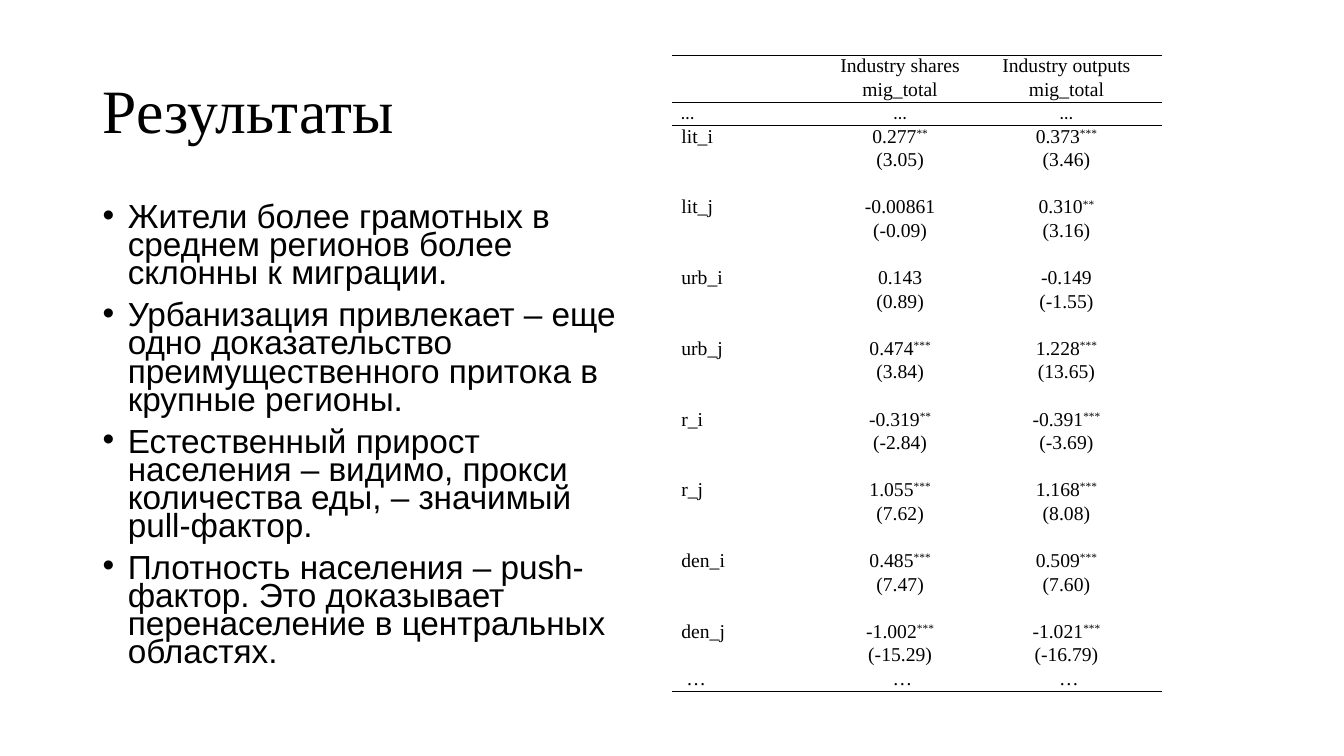
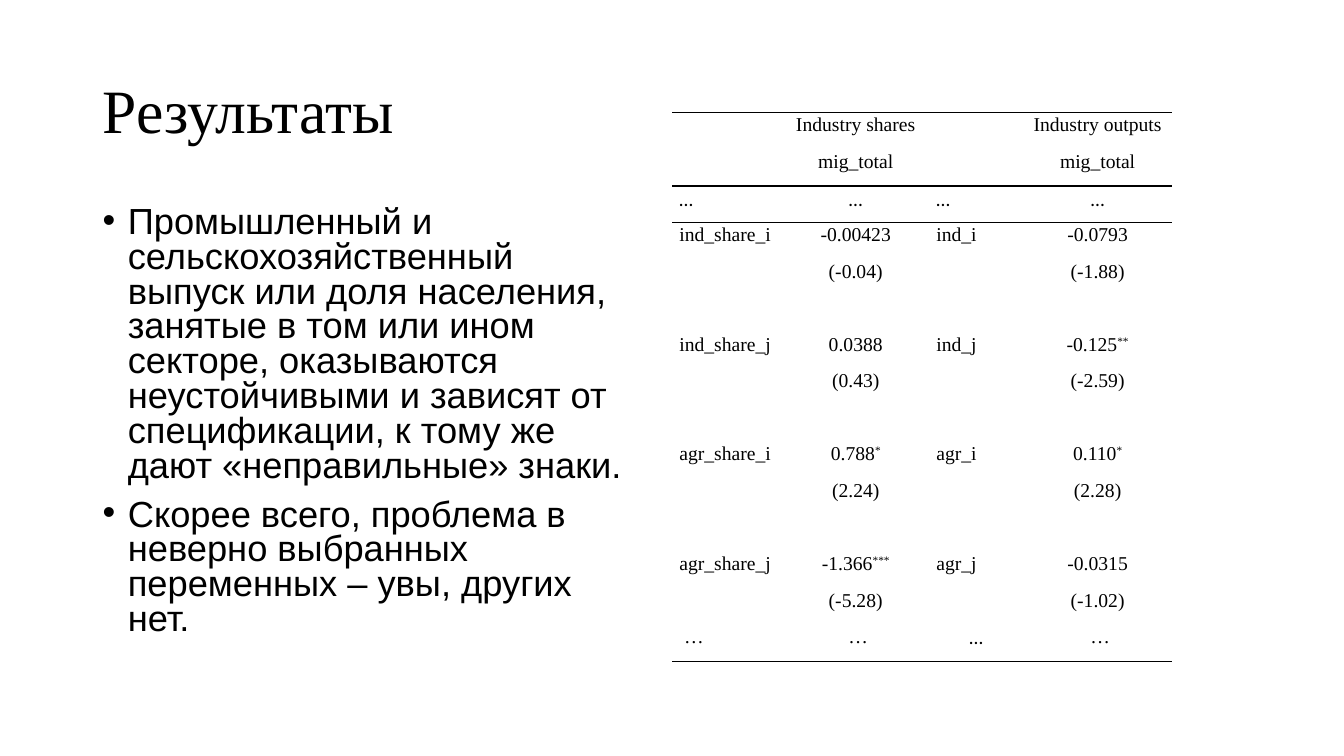
import itertools

import lxml.etree
import pptx
import pptx.dml.color
import pptx.enum.text
import pptx.oxml.ns
import pptx.util

Inches = pptx.util.Inches
Pt = pptx.util.Pt
qn = pptx.oxml.ns.qn
ALIGN = pptx.enum.text.PP_ALIGN
ANCHOR = pptx.enum.text.MSO_ANCHOR

COLOURS = {"text": "000000", "rule": "000000"}
SERIF, SANS, DOTS = "Times New Roman", "Arial", "Calibri"
NO_STYLE_NO_GRID = "{2D5ABB26-0587-4C30-8999-92F81FD0307C}"

SLIDE_SIZE = {"slide_width": Inches(40 / 3), "slide_height": Inches(7.5)}
TITLE = "Результаты"
TITLE_BOX = (0.92, 0.4, 11.5, 1.45)
TABLE_LEFT = 6.67
TABLE_SIZE = 14
DOTS_ROW = 2

SLIDES = [
    {
        "bullets": [
            "Жители более грамотных в среднем регионов более склонны к миграции.",
            "Урбанизация привлекает – еще одно доказательство преимущественного "
            "притока в крупные регионы.",
            "Естественный прирост населения – видимо, прокси количества еды, – "
            "значимый pull-фактор.",
            "Плотность населения – push-фактор. Это доказывает перенаселение в "
            "центральных областях.",
        ],
        "body": {"width": 5.53, "size": 23.8, "spacing": 0.7},
        "table": {
            "top": 0.55, "height": 6.22, "margin": 0.09, "dots_size": 13,
            "spacing": 1.0, "columns": [1.56, 1.4, 1.9], "label_columns": [0],
        },
        "header": ["", "Industry shares|mig_total", "Industry outputs|mig_total"],
        "estimates": [
            ["lit_i", "0.277**|(3.05)", "0.373***|(3.46)"],
            ["lit_j", "-0.00861|(-0.09)", "0.310**|(3.16)"],
            ["urb_i", "0.143|(0.89)", "-0.149|(-1.55)"],
            ["urb_j", "0.474***|(3.84)", "1.228***|(13.65)"],
            ["r_i", "-0.319**|(-2.84)", "-0.391***|(-3.69)"],
            ["r_j", "1.055***|(7.62)", "1.168***|(8.08)"],
            ["den_i", "0.485***|(7.47)", "0.509***|(7.60)"],
            ["den_j", "-1.002***|(-15.29)", "-1.021***|(-16.79)"],
        ],
        "last_row": [" …", " …", " …"],
    },
    {
        "bullets": [
            "Промышленный и сельскохозяйственный выпуск или доля населения, "
            "занятые в том или ином секторе, оказываются неустойчивыми и зависят "
            "от спецификации, к тому же дают «неправильные» знаки.",
            "Скорее всего, проблема в неверно выбранных переменных – увы, других нет.",
        ],
        "body": {"width": 5.44, "size": 25.9, "spacing": 0.8},
        "table": {
            "top": 1.12, "height": 5.44, "margin": 0.07, "dots_size": 14,
            "spacing": 1.07, "columns": [1.09, 1.46, 0.93, 1.48],
            "label_columns": [0, 2],
        },
        "header": ["", "Industry shares|mig_total", "", "Industry outputs|mig_total"],
        "estimates": [
            ["ind_share_i", "-0.00423|(-0.04)", "ind_i", "-0.0793|(-1.88)"],
            ["ind_share_j", "0.0388|(0.43)", "ind_j", "-0.125**|(-2.59)"],
            ["agr_share_i", "0.788*|(2.24)", "agr_i", "0.110*|(2.28)"],
            ["agr_share_j", "-1.366***|(-5.28)", "agr_j", "-0.0315|(-1.02)"],
        ],
        "last_row": [" …", " …", "…", " …"],
    },
]


def apply_format(target, values):
    for name, value in values.items():
        setattr(target, name, value)


def add_run(paragraph, text, font, size):
    run = paragraph.add_run()
    run.text = text
    apply_format(run.font, {"name": font, "size": Pt(size)})
    run.font.color.rgb = pptx.dml.color.RGBColor.from_string(COLOURS["text"])
    return run


def add_text_box(slide, box, anchor):
    frame = slide.shapes.add_textbox(*map(Inches, box)).text_frame
    apply_format(frame, {"word_wrap": True, "vertical_anchor": anchor})
    return frame


def add_title(slide):
    paragraph = add_text_box(slide, TITLE_BOX, ANCHOR.MIDDLE).paragraphs[0]
    paragraph.line_spacing = 0.9
    add_run(paragraph, TITLE, SERIF, 44)


def set_bullet(paragraph):
    properties = paragraph._p.get_or_add_pPr()
    properties.set("marL", str(Inches(0.25)))
    properties.set("indent", str(-Inches(0.25)))
    lxml.etree.SubElement(properties, qn("a:buFont"), typeface=SANS)
    lxml.etree.SubElement(properties, qn("a:buChar"), char="•")


def add_bullets(slide, bullets, width, size, spacing):
    frame = add_text_box(slide, (0.92, 2, width, 4.76), ANCHOR.TOP)
    for index, text in enumerate(bullets):
        paragraph = frame.add_paragraph() if index else frame.paragraphs[0]
        apply_format(paragraph, {"line_spacing": spacing, "space_before": Pt(10)})
        set_bullet(paragraph)
        add_run(paragraph, text, SANS, size)


def stack(cells):
    """Split each cell at its bar and return the parts as table rows."""
    return [list(row) for row in
            itertools.zip_longest(*(cell.split("|") for cell in cells), fillvalue="")]


def table_rows(header, estimates, last_row):
    rows = stack(header) + [["…"] * len(header)]
    for index, estimate in enumerate(estimates):
        if index:
            rows.append([""] * len(header))
        rows += stack(estimate)
    return rows + [last_row]


def add_rule(cell, side):
    line = lxml.etree.Element(qn(f"a:{side}"), w=str(Pt(1)))
    fill = lxml.etree.SubElement(line, qn("a:solidFill"))
    lxml.etree.SubElement(fill, qn("a:srgbClr"), val=COLOURS["rule"])
    cell._tc.get_or_add_tcPr().insert(0, line)


def fill_cell(cell, text, font, size, margin, paragraph_format):
    """Write a value, raising its significance stars."""
    cell.fill.background()
    apply_format(cell, {
        "margin_left": Inches(margin), "margin_right": Inches(margin),
        "margin_top": 0, "margin_bottom": 0,
    })
    paragraph = cell.text_frame.paragraphs[0]
    apply_format(paragraph, paragraph_format)
    value = text.rstrip("*")
    stars = text[len(value):]
    if value:
        add_run(paragraph, value, font, size)
    else:
        # Keeps the empty row as low as the others
        lxml.etree.SubElement(paragraph._p, qn("a:endParaRPr"), sz=str(size * 100))
    if stars:
        run = add_run(paragraph, stars, font, size)
        run.font._element.set("baseline", "30000")


def add_results_table(slide, rows, top, height, margin, dots_size, spacing,
                      columns, label_columns):
    frame = slide.shapes.add_table(
        len(rows), len(columns), Inches(TABLE_LEFT), Inches(top),
        Inches(sum(columns)), Inches(height))
    table = frame.table
    apply_format(table, {"first_row": False, "horz_banding": False})
    frame._element.find(".//" + qn("a:tableStyleId")).text = NO_STYLE_NO_GRID
    for column, width in zip(table.columns, columns):
        column.width = Inches(width)
    last = len(rows) - 1
    rules = {0: "lnT", DOTS_ROW - 1: "lnB", DOTS_ROW: "lnT", last: "lnB"}
    for row_index, row in enumerate(rows):
        size = dots_size if row_index == DOTS_ROW else TABLE_SIZE
        for column_index, text in enumerate(row):
            cell = table.cell(row_index, column_index)
            is_label = column_index in label_columns and (row_index, text) != (last, "…")
            paragraph_format = {
                "alignment": ALIGN.LEFT if is_label else ALIGN.CENTER,
                "line_spacing": spacing, "space_after": Pt(8),
            }
            font = DOTS if text == "…" else SERIF
            fill_cell(cell, text, font, size, margin, paragraph_format)
            if row_index in rules:
                add_rule(cell, rules[row_index])


def main():
    presentation = pptx.Presentation()
    apply_format(presentation, SLIDE_SIZE)
    for content in SLIDES:
        slide = presentation.slides.add_slide(presentation.slide_layouts[6])
        add_title(slide)
        add_bullets(slide, content["bullets"], **content["body"])
        rows = table_rows(content["header"], content["estimates"], content["last_row"])
        add_results_table(slide, rows, **content["table"])
    presentation.save("out.pptx")


if __name__ == "__main__":
    main()
